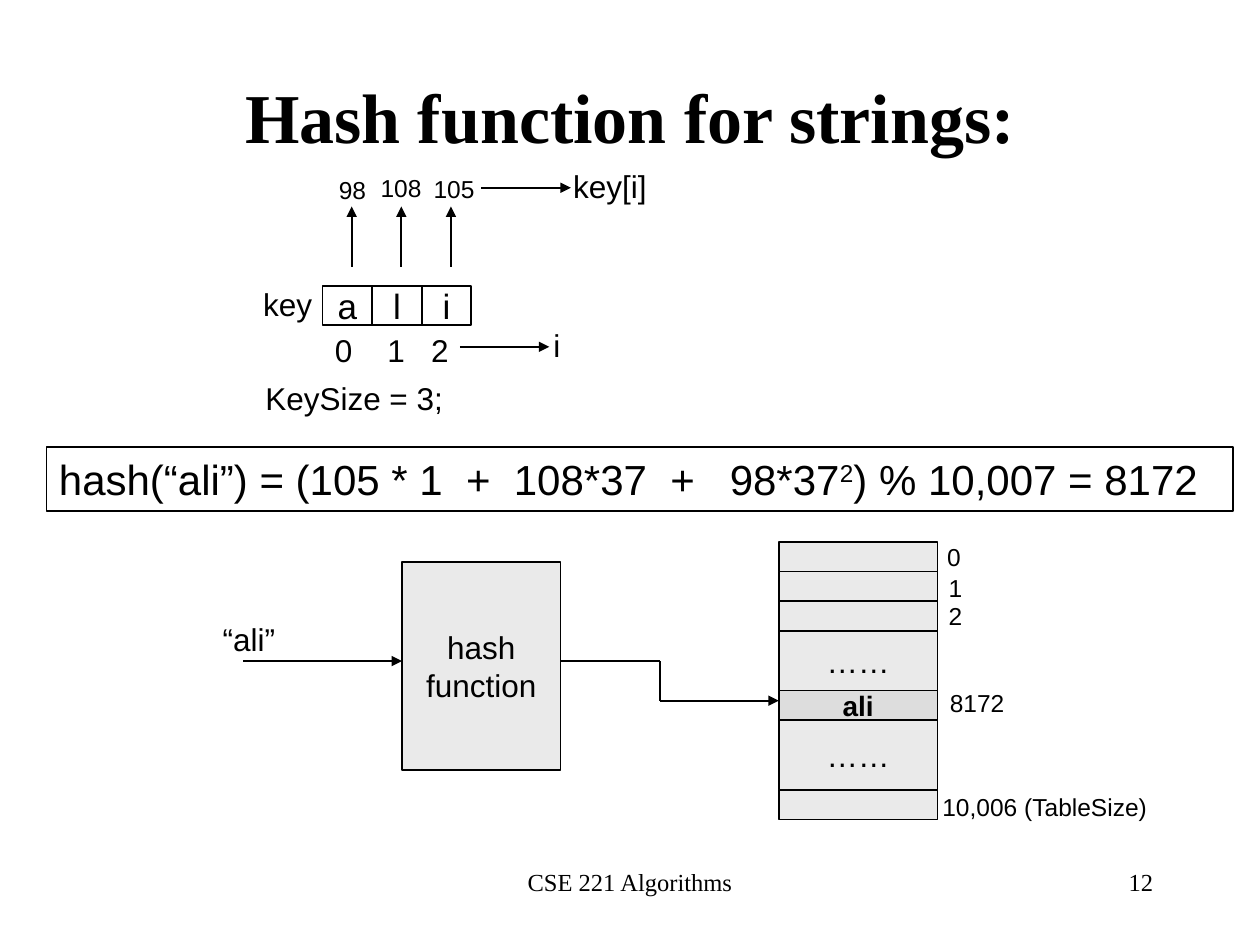
from lxml.etree import SubElement
from pptx import Presentation
from pptx.dml.color import RGBColor
from pptx.enum.shapes import MSO_CONNECTOR, MSO_SHAPE
from pptx.enum.text import MSO_ANCHOR, MSO_AUTO_SIZE, PP_ALIGN
from pptx.oxml.ns import qn
from pptx.util import Pt

COLORS = {"ink": "000000", "box": "EAEAEA", "match": "DDDDDD"}
SANS = "Arial"
SERIF = "Times New Roman"
CELL_LEFT, CELL_TOP, CELL_WIDTH, CELL_HEIGHT = 184.3, 163.3, 28.35, 22.5
TABLE_LEFT, TABLE_TOP, BOX_WIDTH, ROW_HEIGHT = 445, 309.6, 90.7, 17


def color(name):
    return RGBColor.from_string(COLORS[name])


def add_span(para, text, size, font=SANS, bold=False):
    span = para.add_run()
    span.text = text
    span.font.size = Pt(size)
    span.font.name = font
    span.font.bold = bold
    span.font.color.rgb = color("ink")
    return span


def add_title(page, text):
    title = page.shapes.title
    title.left, title.top, title.width, title.height = Pt(54), Pt(36), Pt(612), Pt(60)
    title.text_frame.vertical_anchor = MSO_ANCHOR.MIDDLE
    para = title.text_frame.paragraphs[0]
    para.alignment = PP_ALIGN.CENTER
    add_span(para, text, 40, SERIF, True)


def add_footer(page, text, left, width, align):
    box = page.shapes.add_textbox(Pt(left), Pt(492), Pt(width), Pt(36))
    box.text_frame.word_wrap = True
    para = box.text_frame.paragraphs[0]
    para.alignment = align
    add_span(para, text, 14, SERIF)


def add_label(page, text, left, top, width, size=18):
    height = 28.9 if size == 18 else 24.3
    box = page.shapes.add_textbox(Pt(left), Pt(top), Pt(width), Pt(height))
    box.text_frame.word_wrap = False
    box.text_frame.margin_right = Pt(0)
    para = box.text_frame.paragraphs[0]
    para.alignment = PP_ALIGN.LEFT
    add_span(para, text, size)
    return para


def add_tab_stops(para, positions):
    tabs = SubElement(para._p.get_or_add_pPr(), qn("a:tabLst"))
    for position in positions:
        SubElement(tabs, qn("a:tab"), pos=str(Pt(position)), algn="l")


def add_box(page, left, top, width, height, lines=(), size=18, fill=None, bold=False):
    box = page.shapes.add_shape(MSO_SHAPE.RECTANGLE, Pt(left), Pt(top), Pt(width), Pt(height))
    box.shadow.inherit = False
    if fill:
        box.fill.solid()
        box.fill.fore_color.rgb = color(fill)
    else:
        box.fill.background()
    box.line.color.rgb = color("ink")
    box.line.width = Pt(1)
    box.text_frame.word_wrap = False
    box.text_frame.vertical_anchor = MSO_ANCHOR.MIDDLE
    para = box.text_frame.paragraphs[0]
    para.alignment = PP_ALIGN.CENTER
    for index, line in enumerate(lines):
        if index:
            para.add_line_break()
        add_span(para, line, size, bold=bold)
    return box


def add_line(page, start, end, arrow=True):
    line = page.shapes.add_connector(
        MSO_CONNECTOR.STRAIGHT, Pt(start[0]), Pt(start[1]), Pt(end[0]), Pt(end[1]))
    line.line.color.rgb = color("ink")
    line.line.width = Pt(1)
    if arrow:
        SubElement(line.line._get_or_add_ln(), qn("a:tailEnd"), type="triangle")
    SubElement(line._element.spPr, qn("a:effectLst"))


def add_key(page):
    for index, letter in enumerate("ali"):
        left = CELL_LEFT + index * CELL_WIDTH
        add_box(page, left, CELL_TOP, CELL_WIDTH, CELL_HEIGHT, [letter], 20)
        center = left + CELL_WIDTH / 2 + 2.5
        add_line(page, (center, 152.4), (center, 118))
    for text, left, top, width in (
            ("98", 186.5, 96.5, 29.5), ("108", 210.4, 95.2, 37.4), ("105", 240.7, 95.8, 37.4)):
        add_label(page, text, left, top, width, 14)
    add_label(page, "key", 143.3, 159.2, 42.5)
    add_label(page, "KeySize = 3;", 144.5, 212.9, 121)
    indexes = add_label(page, "0\t1\t2", 184.3, 185.5, 79.2)
    add_tab_stops(indexes, (30, 55))
    add_line(page, (262.8, 198.2), (313.9, 198.2))
    add_label(page, "i", 309.1, 182.9, 18)
    add_line(page, (275, 107.3), (326.2, 107.3))
    add_label(page, "key[i]", 320.4, 91.7, 56.2)


def add_formula(page):
    box = add_box(page, 26.6, 255.6, 678.2, 36.3)
    box.text_frame.auto_size = MSO_AUTO_SIZE.SHAPE_TO_FIT_TEXT
    box.text_frame.vertical_anchor = MSO_ANCHOR.TOP
    para = box.text_frame.paragraphs[0]
    para.alignment = PP_ALIGN.LEFT
    add_span(para, "hash(“ali”) = (105 * 1  +  108*37  +   98*37", 24)
    exponent = add_span(para, "2", 24)
    exponent.font._element.set("baseline", "30000")
    add_span(para, ") % 10,007 = 8172", 24)


def add_table_rows(page):
    top = TABLE_TOP
    for text, height, size, fill in (
            ("", ROW_HEIGHT, 18, "box"), ("", ROW_HEIGHT, 18, "box"),
            ("", ROW_HEIGHT, 18, "box"), ("……", 2 * ROW_HEIGHT, 18, "box"),
            ("ali", ROW_HEIGHT, 16, "match"), ("……", 39.7, 18, "box"),
            ("", ROW_HEIGHT, 18, "box")):
        lines = [text] if text else []
        add_box(page, TABLE_LEFT, top, BOX_WIDTH, height, lines, size, fill, fill == "match")
        top += height
    for text, left, top, width in (
            ("0", 534.2, 306, 22.3), ("1", 535, 324, 22.3), ("2", 535, 339.8, 22.3),
            ("8172", 535.7, 389.5, 45.4), ("10,006 (TableSize)", 531.4, 448.9, 133.2)):
        add_label(page, text, left, top, width, 14)


def add_lookup(page):
    add_box(page, 229.7, 321.1, BOX_WIDTH, 119, ["hash", "function"], fill="box")
    add_table_rows(page)
    add_line(page, (139, 377.8), (229.7, 377.8))
    bends = [(320.4, 377.8), (377.1, 377.8), (377.1, 400.4), (TABLE_LEFT, 400.4)]
    for start, end in zip(bends, bends[1:]):
        add_line(page, start, end, end == bends[-1])
    add_label(page, "“ali”", 120.2, 350.6, 43.9)


def main():
    deck = Presentation()
    deck.slide_width, deck.slide_height = Pt(720), Pt(540)
    page = deck.slides.add_slide(deck.slide_layouts[5])
    add_title(page, "Hash function for strings:")
    add_key(page)
    add_formula(page)
    add_lookup(page)
    add_footer(page, "CSE 221 Algorithms", 246, 228, PP_ALIGN.CENTER)
    add_footer(page, "12", 516, 150, PP_ALIGN.RIGHT)
    deck.save("out.pptx")


if __name__ == "__main__":
    main()
